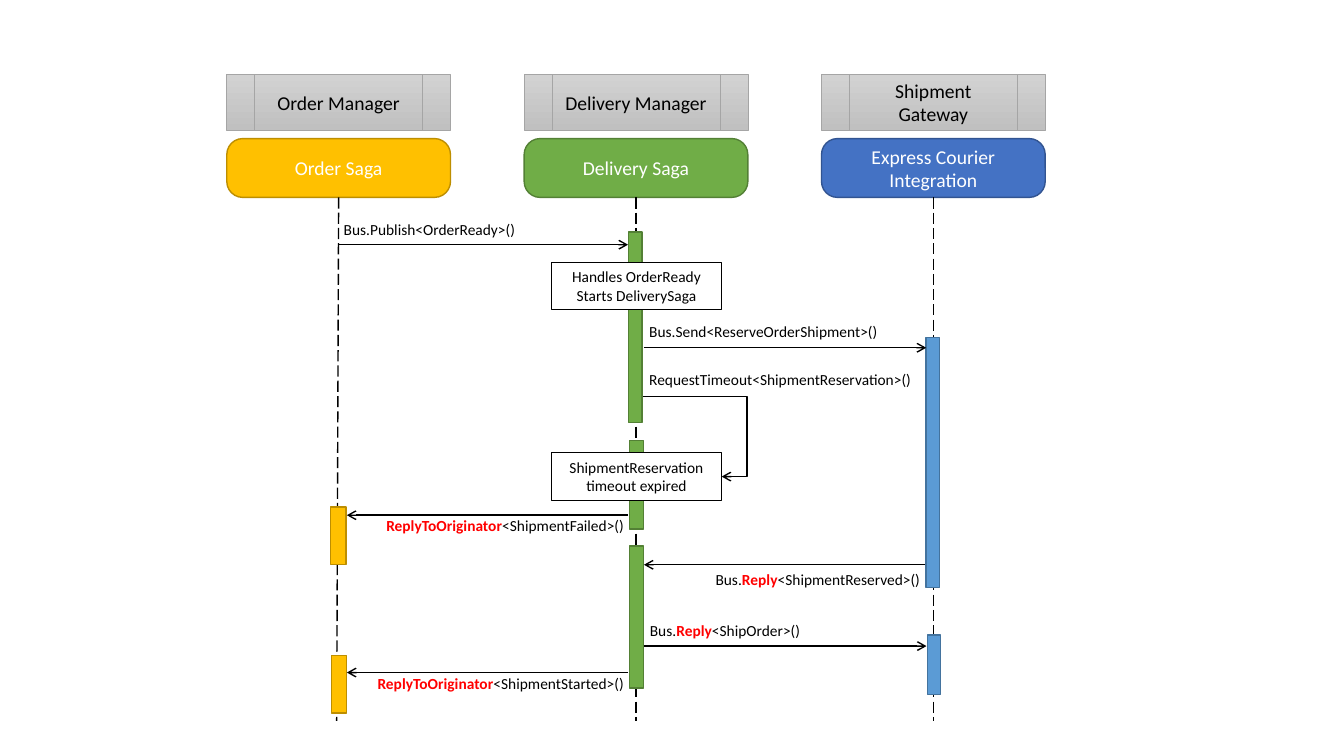
from dataclasses import dataclass

import pptx
import pptx.dml.color
import pptx.enum.dml
import pptx.enum.shapes
import pptx.enum.text
import pptx.oxml.ns
import pptx.util
from lxml import etree

Pt = pptx.util.Pt
RGBColor = pptx.dml.color.RGBColor
qn = pptx.oxml.ns.qn
SHAPE = pptx.enum.shapes.MSO_SHAPE
LINK = pptx.enum.shapes.MSO_CONNECTOR
ALIGN = pptx.enum.text.PP_ALIGN

BLACK = RGBColor(0x00, 0x00, 0x00)
WHITE = RGBColor(0xFF, 0xFF, 0xFF)
RED = RGBColor(0xFF, 0x00, 0x00)
GREY_TOP = RGBColor(0xD2, 0xD2, 0xD2)
GREY_BOTTOM = RGBColor(0xC0, 0xC0, 0xC0)
GREY_LINE = RGBColor(0xA5, 0xA5, 0xA5)
GOLD = RGBColor(0xFF, 0xC0, 0x00)
GOLD_LINE = RGBColor(0xBD, 0x8E, 0x00)
GREEN = RGBColor(0x70, 0xAD, 0x47)
GREEN_LINE = RGBColor(0x53, 0x80, 0x35)
BLUE = RGBColor(0x44, 0x72, 0xC4)
BLUE_LINE = RGBColor(0x32, 0x54, 0x91)
SKY = RGBColor(0x5B, 0x9B, 0xD5)
SKY_LINE = RGBColor(0x43, 0x73, 0x9E)

FONT = "Calibri"
COLUMN_LEFT, COLUMN_PITCH, COLUMN_WIDTH = 162, 212.4, 159.8
LIFELINE_TOP, LIFELINE_BOTTOM = 141, 515


@dataclass
class Participant:
    service: str
    saga: str
    fill: RGBColor
    line: RGBColor
    drift: float = 0


@dataclass
class Activation:
    left: float
    top: float
    width: float
    height: float
    fill: RGBColor
    line: RGBColor


@dataclass
class Message:
    x1: float
    x2: float
    y: float
    label_left: float
    label_top: float
    label_width: float
    prefix: str
    keyword: str
    suffix: str
    align: ALIGN = ALIGN.LEFT
    drop: float = 0


@dataclass
class Note:
    top: float
    text: str


PARTICIPANTS = [
    Participant("Order Manager", "Order Saga", GOLD, GOLD_LINE, -1.4),
    Participant("Delivery Manager", "Delivery Saga", GREEN, GREEN_LINE),
    Participant("Shipment Gateway", "Express Courier Integration", BLUE, BLUE_LINE),
]
ACTIVATIONS = [
    Activation(449, 165.8, 9.6, 136, GREEN, GREEN_LINE),
    Activation(449.5, 314.8, 10, 63.2, GREEN, GREEN_LINE),
    Activation(449.5, 390, 10, 101.6, GREEN, GREEN_LINE),
    Activation(661.5, 241.2, 9.6, 178.4, SKY, SKY_LINE),
    Activation(662.4, 453.6, 9.4, 42.4, SKY, SKY_LINE),
    Activation(236.2, 362.2, 11, 41.2, GOLD, GOLD_LINE),
    Activation(236.6, 468.2, 11, 41.2, GOLD, GOLD_LINE),
]
MESSAGES = [
    Message(241.5, 448.6, 174.8, 245.5, 153.4, 199.4, "Bus.Publish<OrderReady>()", "", ""),
    Message(460, 661.6, 248.4, 463.7, 226.8, 193.7, "Bus.Send<ReserveOrderShipment>()", "", ""),
    Message(459.4, 515.5, 283, 463.7, 260.8, 193.7,
            "RequestTimeout<ShipmentReservation>()", "", "", drop=57.4),
    Message(448.6, 247.8, 368, 252.7, 365, 193,
            "", "ReplyToOriginator", "<ShipmentFailed>()", ALIGN.RIGHT),
    Message(661, 460, 403.4, 465.1, 403.4, 192.2,
            "Bus.", "Reply", "<ShipmentReserved>()", ALIGN.RIGHT),
    Message(460, 661.8, 461.5, 464.2, 440, 199.4, "Bus.", "Reply", "<ShipOrder>()"),
    Message(448.6, 247.8, 480.4, 252.7, 478, 193,
            "", "ReplyToOriginator", "<ShipmentStarted>()", ALIGN.RIGHT),
]
NOTES = [
    Note(187.2, "Handles OrderReady\nStarts DeliverySaga"),
    Note(323.4, "ShipmentReservation timeout expired"),
]


def style_run(r, size: float, color: RGBColor, bold: bool = False) -> None:
    r.font.name = FONT
    r.font.size = Pt(size)
    r.font.color.rgb = color
    r.font.bold = bold


def add_box(s, kind: SHAPE, left: float, top: float, width: float, height: float,
            fill: RGBColor, line: RGBColor, weight: float = 1, text: str = "",
            size: float = 14, color: RGBColor = WHITE):
    sp = s.shapes.add_shape(kind, Pt(left), Pt(top), Pt(width), Pt(height))
    sp.shadow.inherit = False
    sp.fill.solid()
    sp.fill.fore_color.rgb = fill
    sp.line.color.rgb = line
    sp.line.width = Pt(weight)
    if text:
        sp.text_frame.text = text
        sp.text_frame.word_wrap = True
        for p in sp.text_frame.paragraphs:
            p.alignment = ALIGN.CENTER
            for r in p.runs:
                style_run(r, size, color)
    return sp


def add_line(s, x1: float, y1: float, x2: float, y2: float, kind: LINK = LINK.STRAIGHT):
    c = s.shapes.add_connector(kind, Pt(x1), Pt(y1), Pt(x2), Pt(y2))
    c.line.color.rgb = BLACK
    c.line.width = Pt(1)
    etree.SubElement(c._element.spPr, qn("a:effectLst"))
    return c


def add_participant(s, column: int, who: Participant) -> None:
    left = COLUMN_LEFT + column * COLUMN_PITCH
    center = left + COLUMN_WIDTH / 2
    sp = add_box(s, SHAPE.FLOWCHART_PREDEFINED_PROCESS, left, 53.4, COLUMN_WIDTH, 39.4,
                 GREY_TOP, GREY_LINE, 0.5, who.service, color=BLACK)
    sp.fill.gradient()
    sp.fill.gradient_angle = 270
    for stop, color in zip(sp.fill.gradient_stops, (GREY_TOP, GREY_BOTTOM)):
        stop.color.rgb = color
    sp = add_box(s, SHAPE.ROUNDED_RECTANGLE, left, 99, COLUMN_WIDTH, 42,
                 who.fill, who.line, text=who.saga)
    sp.adjustments[0] = 0.27
    c = add_line(s, center, LIFELINE_TOP, center + who.drift, LIFELINE_BOTTOM)
    c.line.dash_style = pptx.enum.dml.MSO_LINE.LONG_DASH


def add_message(s, m: Message) -> None:
    kind = LINK.ELBOW if m.drop else LINK.STRAIGHT
    c = add_line(s, m.x1, m.y, m.x2, m.y + m.drop, kind)
    etree.SubElement(c.line._get_or_add_ln(), qn("a:tailEnd"), type="arrow")
    if m.drop:
        guides = c._element.spPr.find(qn("a:prstGeom")).get_or_add_avLst()
        etree.SubElement(guides, qn("a:gd"), name="adj1", fmla="val 132000")
    tf = s.shapes.add_textbox(Pt(m.label_left), Pt(m.label_top), Pt(m.label_width), Pt(20.6)).text_frame
    tf.word_wrap = True
    tf.margin_left = tf.margin_right = 0
    p = tf.paragraphs[0]
    p.alignment = m.align
    for text, color in ((m.prefix, BLACK), (m.keyword, RED), (m.suffix, BLACK)):
        if text:
            r = p.add_run()
            r.text = text
            style_run(r, 11, color, color == RED)


prs = pptx.Presentation()
prs.slide_width, prs.slide_height = Pt(960), Pt(540)
s = prs.slides.add_slide(prs.slide_layouts[6])
for column, who in enumerate(PARTICIPANTS):
    add_participant(s, column, who)
for a in ACTIVATIONS:
    add_box(s, SHAPE.RECTANGLE, a.left, a.top, a.width, a.height, a.fill, a.line)
for note in NOTES:
    add_box(s, SHAPE.RECTANGLE, 393.8, note.top, 121.7, 34, WHITE, BLACK, 0.75, note.text, 11, BLACK)
for m in MESSAGES:
    add_message(s, m)
prs.save("out.pptx")
